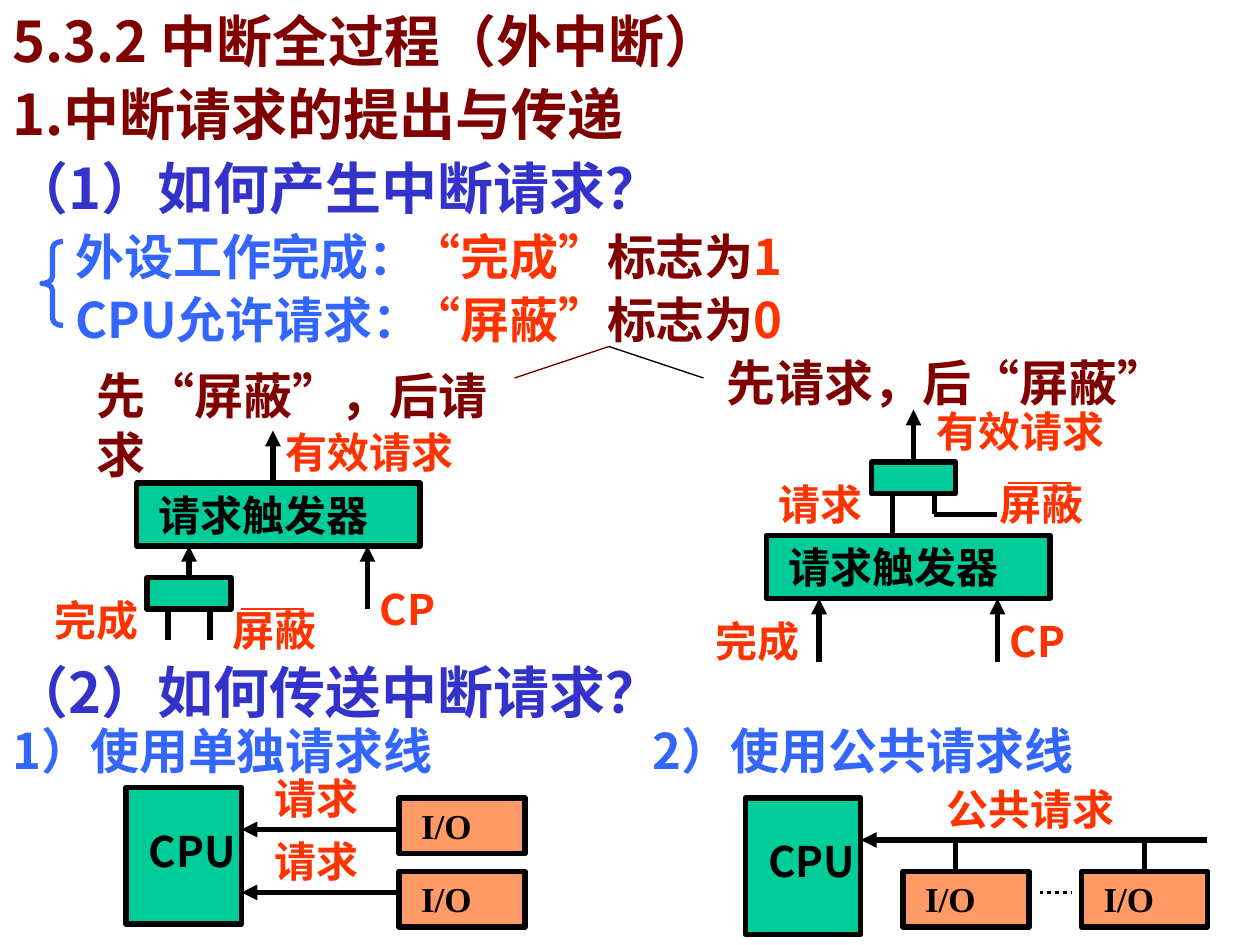
"""Build the slide on raising and passing interrupt requests, on a 120 by 90 grid."""
from lxml import etree
from pptx import Presentation, util as u
from pptx.dml.color import RGBColor as Rgb
from pptx.enum import dml, shapes, text
from pptx.oxml.ns import qn

HUE = {"wine": "800000", "navy": "3333CC", "blue": "3366FF", "red": "FF3300",
       "black": "000000", "green": "00CC99", "peach": "FF9966"}
SANS, SERIF = "Noto Sans CJK SC", "Times New Roman"

deck = Presentation()
deck.slide_width, deck.slide_height = u.Inches(10), u.Inches(7.5)
cell = deck.slide_width / 120
slide = deck.slides.add_slide(deck.slide_layouts[6])
draw = slide.shapes


def put(shape, parts, size, face, left=1.2):
    frame = shape.text_frame
    frame.word_wrap = True
    frame.auto_size = text.MSO_AUTO_SIZE.SHAPE_TO_FIT_TEXT
    frame.vertical_anchor = text.MSO_ANCHOR.TOP
    frame.margin_left = int(left * cell)
    para = frame.paragraphs[0]
    para.alignment = text.PP_ALIGN.LEFT
    para.space_before = u.Pt(size * 0.625)
    para.font.size, para.font.bold, para.font.name = u.Pt(size), True, face
    for words, hue in parts:
        run = para.add_run()
        run.text = words
        if len(parts) > 1:
            run.font.color.rgb = Rgb.from_string(HUE[hue])
        else:
            para.font.color.rgb = Rgb.from_string(HUE[hue])
    base = para._p.pPr.find(qn("a:defRPr"))
    etree.SubElement(base, qn("a:ea")).set("typeface", SANS)


def wire(x1, y1, x2, y2, hue="black", width=3, head=False):
    line = draw.add_connector(shapes.MSO_CONNECTOR.STRAIGHT,
                              *(int(n * cell) for n in (x1, y1, x2, y2)))
    line.line.color.rgb = Rgb.from_string(HUE[hue])
    line.line.width = u.Pt(width)
    if head:
        etree.SubElement(line.line._get_or_add_ln(), qn("a:headEnd")).set("type", "triangle")
    etree.SubElement(line._element.spPr, qn("a:effectLst"))
    return line


box = {}
for x, y, w, h, fill, words, size in [
    (13, 46, 27, 6, "green", "请求触发器", 24),
    (14, 55, 8, 3, "green", "", 0),
    (73, 51, 27, 6, "green", "请求触发器", 24),
    (83, 44, 8, 3, "green", "", 0),
    (12, 75, 11, 13, "green", "", 0),
    (71, 76, 11, 13, "green", "", 0),
    (38, 76, 12, 5.3, "peach", "I/O", 20),
    (38, 83, 12, 5.3, "peach", "I/O", 20),
    (86, 83, 12, 5.3, "peach", "I/O", 20),
    (103, 83, 12, 5.3, "peach", "I/O", 20),
]:
    rect = draw.add_shape(shapes.MSO_SHAPE.RECTANGLE, *(int(n * cell) for n in (x, y, w, h)))
    rect.shadow.inherit = False
    rect.fill.solid()
    rect.fill.fore_color.rgb = Rgb.from_string(HUE[fill])
    rect.line.color.rgb = Rgb.from_string(HUE["black"])
    rect.line.width = u.Pt(3)
    if words:
        put(rect, [(words, "black")], size, SERIF, 2.1)
    box[x, y] = rect

brace = draw.add_shape(shapes.MSO_SHAPE.LEFT_BRACE, *(int(n * cell) for n in (4, 23, 2, 8)))
brace.adjustments[0] = 0.33
brace.shadow.inherit = False
brace.fill.background()
brace.line.color.rgb = Rgb.from_string(HUE["blue"])
brace.line.width = u.Pt(3)

wire(49, 36, 58, 33, "wine", 0.75)
wire(58, 33, 67, 36, width=0.75)
for x, y in [(23, 58), (29, 58)]:
    wire(x, y, 30 - 14 if x == 23 else 20, y + 3).begin_x = int((16 if x == 23 else 20) * cell)
for bar in [(85, 47, 85, 51), (89, 47, 89, 49), (89, 49, 95, 49), (91, 80, 91, 83)]:
    wire(*bar)
for tip in [(35, 52, 35, 58), (26, 41, 26, 46), (78, 57, 78, 63), (95, 57, 95, 63),
            (23, 79, 38, 79), (23, 85, 38, 85), (82, 80, 115, 80)]:
    wire(*tip, head=True)
wire(18, 52, 18, 55, head=True).end_connect(box[14, 55], 0)
wire(87, 39, 87, 44, head=True).end_connect(box[83, 44], 0)
wire(109, 80, 109, 83).end_connect(box[103, 83], 0)
for x, y in [(23, 58), (96, 46)]:
    wire(x, y, x + 6, y, "red", 1.5)
wire(99, 85, 102, 85, width=2.25).line.dash_style = dml.MSO_LINE.ROUND_DOT

for x, y, w, size, face, *parts in [
    (0, 0, 82, 32, SANS, ("5.3.2 中断全过程（外中断）", "wine")),
    (0, 7, 76, 32, SANS, ("1.中断请求的提出与传递", "wine")),
    (0, 14, 76, 32, SANS, ("（1）如何产生中断请求？", "navy")),
    (0, 62, 76, 32, SANS, ("（2）如何传送中断请求？", "navy")),
    (6, 21, 48, 28, SANS, ("外设工作完成：", "blue")),
    (6, 27, 48, 28, SANS, ("CPU允许请求：", "blue")),
    (38, 21, 47, 28, SANS, ("“完成”", "red"), ("标志为", "wine"), ("1", "red")),
    (38, 27, 47, 28, SANS, ("“屏蔽”", "red"), ("标志为", "wine"), ("0", "red")),
    (8, 34.2, 44, 28, SANS, ("先“屏蔽”，后请求", "wine")),
    (68, 33, 48, 28, SANS, ("先请求，后“屏蔽”", "wine")),
    (0, 68, 59, 28, SANS, ("1）使用单独请求线", "blue")),
    (61, 68, 59, 28, SANS, ("2）使用公共请求线", "blue")),
    (4, 56, 16, 24, SANS, ("完成", "red")),
    (21, 57, 18, 24, SANS, ("屏蔽", "red")),
    (35, 55, 16, 24, SANS, ("CP", "red")),
    (26, 40, 22, 24, SANS, ("有效请求", "red")),
    (67, 58, 16, 24, SANS, ("完成", "red")),
    (94, 45, 18, 24, SANS, ("屏蔽", "red")),
    (95, 58, 16, 24, SANS, ("CP", "red")),
    (73, 45, 16, 24, SANS, ("请求", "red")),
    (88, 38, 23, 24, SANS, ("有效请求", "red")),
    (13, 78, 13, 24, SANS, ("CPU", "black")),
    (72, 79, 13, 24, SANS, ("CPU", "black")),
    (25, 73, 16, 24, SERIF, ("请求", "red")),
    (25, 79, 16, 24, SERIF, ("请求", "red")),
    (89, 74, 22, 24, SERIF, ("公共请求", "red")),
]:
    rows = 12.5 if y == 34.2 else size * 0.245
    put(draw.add_textbox(*(int(n * cell) for n in (x, y, w, rows))), parts, size, face)

deck.save("out.pptx")
